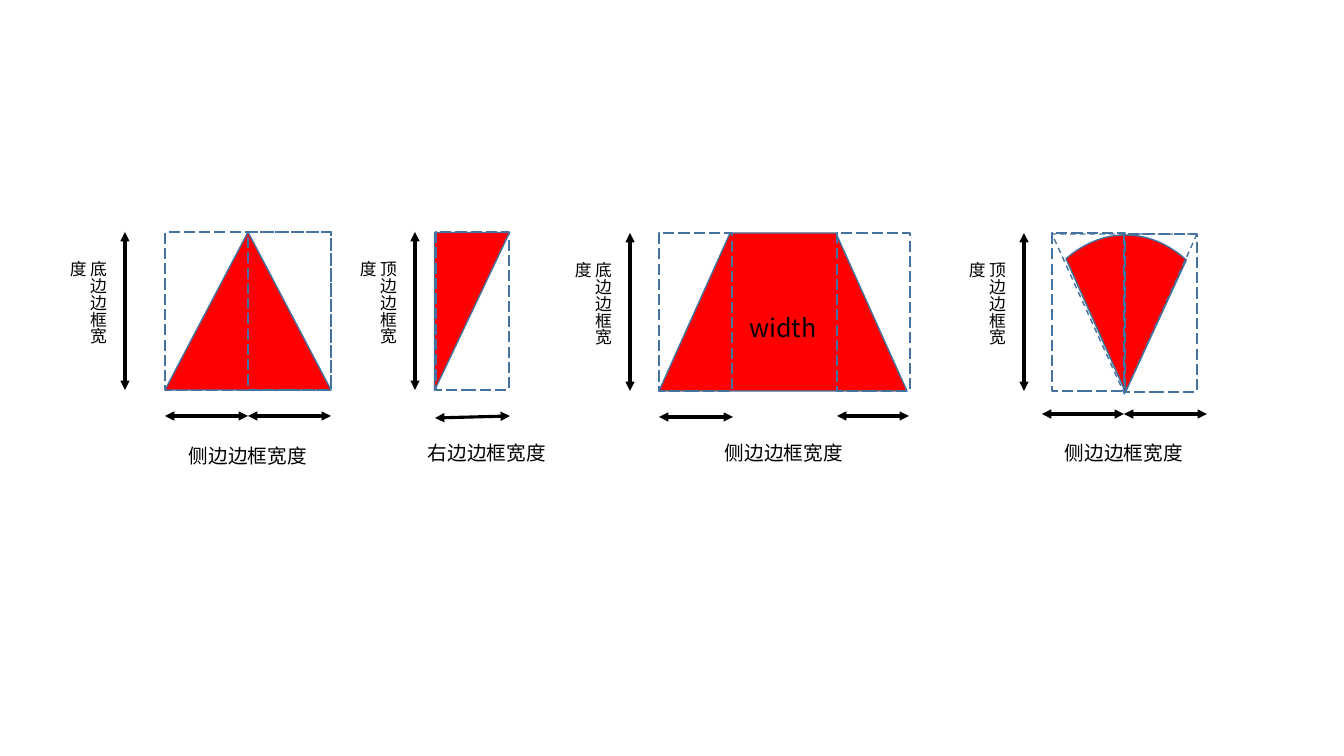
"""Build a slide showing how border widths shape triangles, a trapezoid and a sector."""
from lxml import etree
from pptx import Presentation, util as u
from pptx.dml.color import RGBColor
from pptx.enum import dml, shapes, text
from pptx.oxml.ns import qn

SCALE = 914400 / 100.8
FONT = "Noto Sans CJK SC"
RED = RGBColor(0xFF, 0, 0)
WHITE = RGBColor(0xFF, 0xFF, 0xFF)
BLACK = RGBColor(0, 0, 0)
BLUE = RGBColor(0x43, 0x73, 0x9E)
SHAPE = shapes.MSO_SHAPE
LONG_DASH = dml.MSO_LINE.LONG_DASH
SIDE, RIGHT = "侧边边框宽度", "右边边框宽度"
TOP, BOTTOM = "顶边边框宽度", "底边边框宽度"


def px(*values):
    """Turn pixels into EMU."""
    return [u.Emu(round(v * SCALE)) for v in values]


def write(tf, words, size=14, align=None):
    """Put one formatted run into a text frame."""
    p = tf.paragraphs[0]
    p.alignment = align
    r = p.add_run()
    r.text = words
    r.font.size = u.Pt(size)
    r.font.name = FONT
    r.font.color.rgb = BLACK
    etree.SubElement(r._r.get_or_add_rPr(), qn("a:ea"), typeface=FONT)


def figure(s, kind, box, fill=None, dash=None, rotation=0, adj=()):
    """Add an outlined preset shape."""
    sp = s.shapes.add_shape(kind, *px(*box))
    sp.shadow.inherit = False
    sp.rotation = rotation
    for i, value in enumerate(adj):
        sp.adjustments[i] = value
    if fill is None:
        sp.fill.background()
    else:
        sp.fill.solid()
        sp.fill.fore_color.rgb = fill
    sp.line.color.rgb = BLUE
    sp.line.width = u.Pt(1)
    if dash is not None:
        sp.line.dash_style = dash
    return sp


def frame(s, x, y, w, fill=None):
    """Add a dashed frame of the common height."""
    figure(s, SHAPE.RECTANGLE, (x, y, w, 158), fill, LONG_DASH)


def arrow(s, x1, y1, x2, y2):
    """Add a double-headed black arrow."""
    cn = s.shapes.add_connector(shapes.MSO_CONNECTOR.STRAIGHT, *px(x1, y1, x2, y2))
    cn.line.color.rgb = BLACK
    cn.line.width = u.Pt(2.25)
    spPr = cn.element.spPr
    for end in ("a:headEnd", "a:tailEnd"):
        etree.SubElement(spPr.find(qn("a:ln")), qn(end), type="triangle")
    etree.SubElement(spPr, qn("a:effectLst"))


def label(s, words, box, size=14, vertical=False):
    """Add a horizontal or vertical text label."""
    sp = s.shapes.add_textbox(*px(*box))
    tf = sp.text_frame
    tf.word_wrap = True
    tf.auto_size = text.MSO_AUTO_SIZE.SHAPE_TO_FIT_TEXT
    if vertical:
        sp.element.txBody.bodyPr.set("vert", "eaVert")
    write(tf, words, size)


def height_mark(s, x, y, words):
    """Add a vertical arrow with its vertical label on the left."""
    arrow(s, x, y + 158, x, y)
    label(s, words, (x - 52, y + 19, 40, 115), 12, True)


def width_mark(s, words, x, y, *arrows):
    """Add horizontal arrows and the label below them."""
    for ends in arrows:
        arrow(s, *ends)
    label(s, words, (x, y, 139, 34))


def triangle(s):
    """Draw the isosceles triangle."""
    frame(s, 165, 232, 166, WHITE)
    figure(s, SHAPE.ISOSCELES_TRIANGLE, (165, 232, 166, 158), RED)
    frame(s, 248, 232, 83)
    height_mark(s, 125, 232, BOTTOM)
    width_mark(s, SIDE, 179, 439, (165, 416, 248, 416), (248, 416, 331, 416))


def right_triangle(s):
    """Draw the right triangle."""
    figure(s, SHAPE.RIGHT_TRIANGLE, (393, 274, 158, 75), RED, rotation=90)
    frame(s, 436, 232, 73)
    height_mark(s, 415, 232, TOP)
    width_mark(s, RIGHT, 418, 436, (435, 418, 510, 416))


def trapezoid(s):
    """Draw the trapezoid."""
    sp = figure(s, SHAPE.TRAPEZOID, (659, 233, 248, 158), RED, adj=[0.45])
    sp.text_frame.vertical_anchor = text.MSO_ANCHOR.MIDDLE
    write(sp.text_frame, "width", 18, text.PP_ALIGN.CENTER)
    for x in (659, 837):
        frame(s, x, 233, 73)
    height_mark(s, 630, 233, BOTTOM)
    width_mark(s, SIDE, 715, 436, (837, 416, 909, 416), (659, 417, 733, 417))


def sector(s):
    """Draw the sector."""
    figure(s, SHAPE.PIE, (1013, 235, 225, 314), RED, adj=[147.56, 176.86])
    figure(s, SHAPE.ISOSCELES_TRIANGLE, (1052, 234, 145, 160),
           dash=dml.MSO_LINE.DASH, rotation=180, adj=[0.5])
    frame(s, 1052, 233, 73)
    frame(s, 1124, 234, 73)
    height_mark(s, 1024, 233, TOP)
    width_mark(s, SIDE, 1055, 436, (1042, 414, 1124, 414), (1124, 414, 1207, 414))


def main():
    """Build and save the slide."""
    prs = Presentation()
    prs.slide_width, prs.slide_height = px(1344, 756)
    s = prs.slides.add_slide(prs.slide_layouts[6])
    for draw in (triangle, right_triangle, trapezoid, sector):
        draw(s)
    prs.save("out.pptx")


main()
